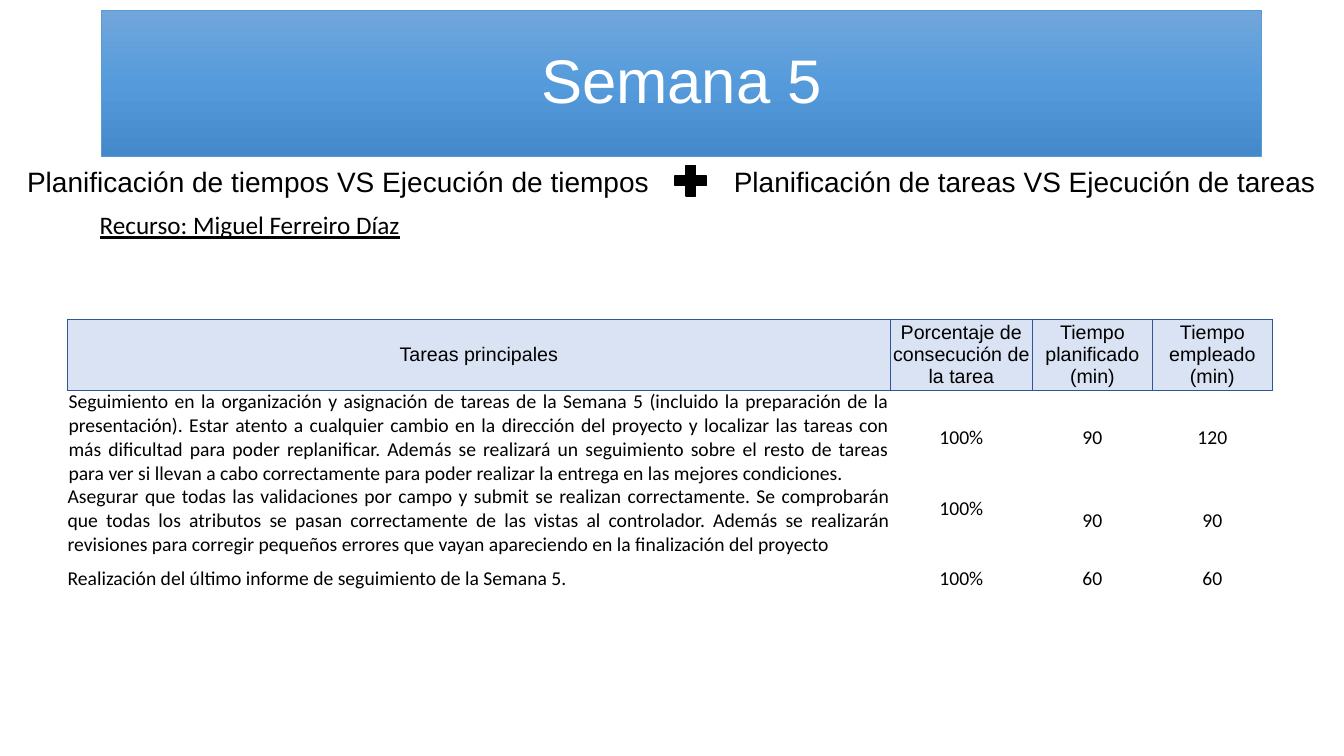
from copy import deepcopy

from lxml import etree
from pptx import Presentation
from pptx import util as u
from pptx.dml.color import RGBColor
from pptx.enum import shapes, text
from pptx.oxml import ns

BLACK = RGBColor(0x00, 0x00, 0x00)
WHITE = RGBColor(0xFF, 0xFF, 0xFF)
TITLE_LINE = RGBColor(0x5B, 0x9B, 0xD5)
TITLE_GRADIENT = (
    RGBColor(0x71, 0xA6, 0xDB),
    RGBColor(0x55, 0x9B, 0xDB),
    RGBColor(0x44, 0x8A, 0xCA),
)
HEADER_FILL = RGBColor(0xDA, 0xE3, 0xF3)
HEADER_LINE = RGBColor(0x2F, 0x55, 0x97)
PLAIN_TABLE_STYLE = "{2D5ABB26-0587-4C30-8999-92F81FD0307C}"

COLUMN_WIDTHS = (8.16, 1.41, 1.19, 1.19)
ROW_HEIGHTS = (0.7, 0.94, 0.71, 0.44)
TASK_ROWS = (
    ("Tareas principales", "Porcentaje de consecución de la tarea",
     "Tiempo planificado (min)", "Tiempo empleado (min)"),
    ("Seguimiento en la organización y asignación de tareas de la Semana 5 "
     "(incluido la preparación de la presentación). Estar atento a cualquier "
     "cambio en la dirección del proyecto y localizar las tareas con más "
     "dificultad para poder replanificar. Además se realizará un seguimiento "
     "sobre el resto de tareas para ver si llevan a cabo correctamente para "
     "poder realizar la entrega en las mejores condiciones.",
     "100%", "90", "120"),
    ("Asegurar que todas las validaciones por campo y submit se realizan "
     "correctamente. Se comprobarán que todas los atributos se pasan "
     "correctamente de las vistas al controlador. Además se realizarán "
     "revisiones para corregir pequeños errores que vayan apareciendo en la "
     "finalización del proyecto",
     "100%", "90", "90"),
    ("Realización del último informe de seguimiento de la Semana 5.",
     "100%", "60", "60"),
)


def inches(box):
    """Convert a box of numbers to lengths."""
    return [u.Inches(value) for value in box]


def write(frame, content, font_name, size, color=BLACK, alignment=None):
    """Set one paragraph of text and return its font."""
    frame.text = content
    paragraph = frame.paragraphs[0]
    paragraph.alignment = alignment
    font = paragraph.runs[0].font
    font.name, font.size = font_name, u.Pt(size)
    font.color.rgb = color
    return font


def add_title(slide, box, content):
    """Turn the title placeholder into a gradient banner."""
    title = slide.shapes.title
    title.left, title.top, title.width, title.height = inches(box)
    title.fill.gradient()
    title.fill.gradient_angle = 270
    first_stop = title._element.spPr.find(".//" + ns.qn("a:gs"))
    middle_stop = deepcopy(first_stop)
    middle_stop.set("pos", "50000")
    first_stop.addnext(middle_stop)
    for stop, color in zip(title.fill.gradient_stops, TITLE_GRADIENT):
        stop.color.rgb = color
    title.line.color.rgb = TITLE_LINE
    title.line.width = u.Pt(0.5)
    frame = title.text_frame
    write(frame, content, "Arial", 44, WHITE, text.PP_ALIGN.CENTER)
    frame.vertical_anchor = text.MSO_ANCHOR.MIDDLE
    frame.paragraphs[0].line_spacing = 0.9


def add_label(slide, box, content, font_name, size, underline=False):
    """Add a wrapping line of text."""
    frame = slide.shapes.add_textbox(*inches(box)).text_frame
    frame.word_wrap = True
    write(frame, content, font_name, size).underline = underline


def add_comparison(slide, box):
    """Add the two comparisons joined by a plus sign."""
    left, top, width, height = box
    right_width = 6.04
    add_label(slide, (left, top, 6.47, height),
              "Planificación de tiempos VS Ejecución de tiempos", "Arial", 20)
    add_label(slide, (left + width - right_width, top, right_width, height),
              "Planificación de tareas VS Ejecución de tareas", "Arial", 20)
    plus = slide.shapes.add_shape(
        shapes.MSO_SHAPE.MATH_PLUS, *inches((left + 6.47, top + 0.01, 0.42, 0.41)))
    plus.shadow.inherit = False
    plus.fill.solid()
    plus.fill.fore_color.rgb = BLACK
    plus.line.color.rgb = BLACK
    plus.line.width = u.Pt(1)


def add_borders(cell, sides):
    """Draw the header line on the given sides of a cell."""
    properties = cell._tc.get_or_add_tcPr()
    for side in sides:
        line = etree.SubElement(properties, ns.qn("a:ln" + side), w=str(u.Pt(1)))
        fill = etree.SubElement(line, ns.qn("a:solidFill"))
        etree.SubElement(fill, ns.qn("a:srgbClr"), val=str(HEADER_LINE))


def format_cell(cell, content, is_header, is_task):
    """Write a table cell as header, task or figure."""
    cell.margin_left = cell.margin_right = cell.margin_top = cell.margin_bottom = 0
    cell.vertical_anchor = text.MSO_ANCHOR.MIDDLE
    justified = is_task and not is_header
    write(cell.text_frame, content, "Arial" if is_header else "Calibri", 14,
          alignment=text.PP_ALIGN.JUSTIFY if justified else text.PP_ALIGN.CENTER)
    if is_header:
        add_borders(cell, "LRTB")
        cell.fill.solid()
        cell.fill.fore_color.rgb = HEADER_FILL
    else:
        cell.fill.background()


def add_task_table(slide, box):
    """Add the table of tasks with planned and spent minutes."""
    table = slide.shapes.add_table(
        len(TASK_ROWS), len(COLUMN_WIDTHS), *inches(box)).table
    table.first_row = table.horz_banding = False
    table._tbl.tblPr.find(ns.qn("a:tableStyleId")).text = PLAIN_TABLE_STYLE
    for column, width in zip(table.columns, COLUMN_WIDTHS):
        column.width = u.Inches(width)
    for row, height in zip(table.rows, ROW_HEIGHTS):
        row.height = u.Inches(height)
    for row_index, values in enumerate(TASK_ROWS):
        for column_index, content in enumerate(values):
            format_cell(table.cell(row_index, column_index), content,
                        row_index == 0, column_index == 0)
    first_task = table.cell(1, 0)
    first_task.margin_left = first_task.margin_right = u.Inches(0.01)
    first_task.vertical_anchor = text.MSO_ANCHOR.BOTTOM
    table.cell(2, 1).margin_bottom = u.Inches(0.24)


def build_week_slide(presentation):
    """Build the weekly follow-up slide."""
    slide = presentation.slides.add_slide(presentation.slide_layouts[5])
    add_title(slide, (1.01, 0.1, 11.5, 1.45), "Semana 5")
    add_comparison(slide, (0.17, 1.58, 13.05, 0.44))
    add_label(slide, (0.89, 2.03, 3.67, 0.4),
              "Recurso: Miguel Ferreiro Díaz", "Calibri", 18, underline=True)
    add_task_table(slide, (0.67, 3.17, sum(COLUMN_WIDTHS), sum(ROW_HEIGHTS)))


presentation = Presentation()
presentation.slide_width = u.Inches(13.33)
presentation.slide_height = u.Inches(7.5)
build_week_slide(presentation)
presentation.save("out.pptx")
